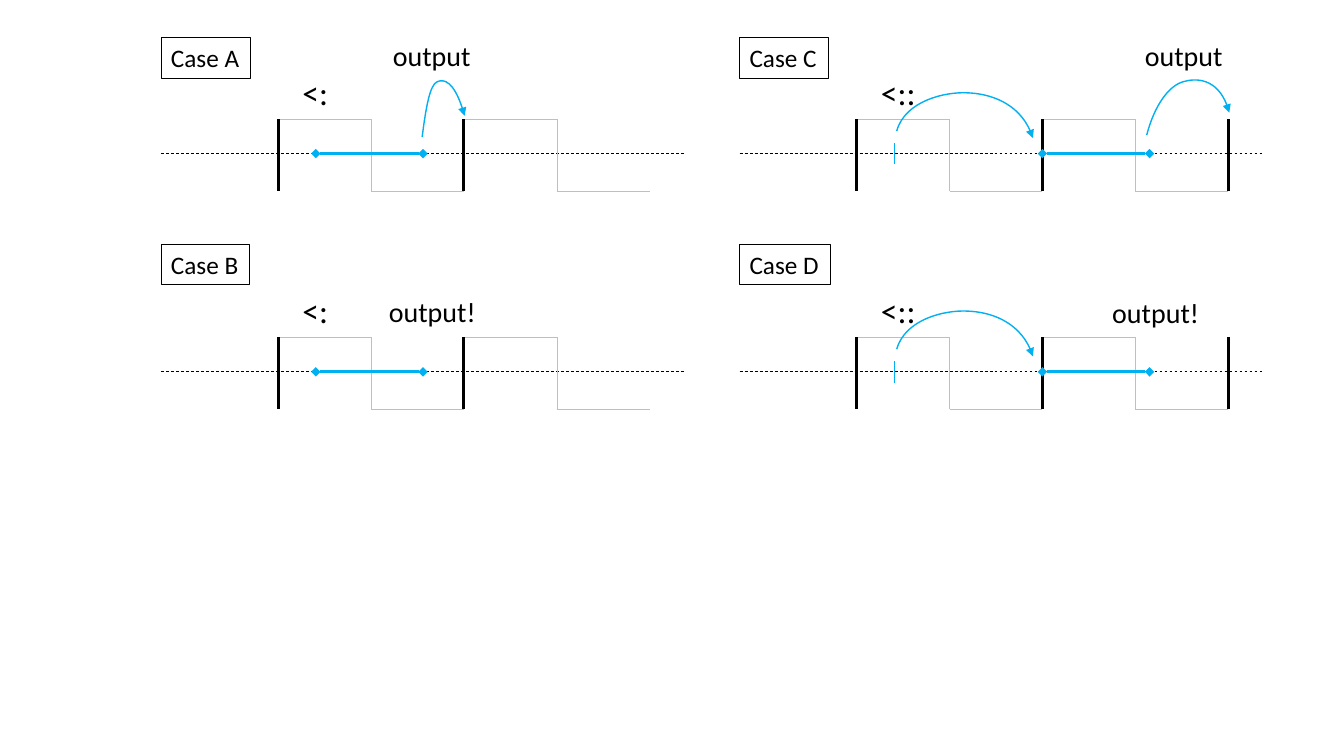
"""Draw four clock timing cases with their sampling windows and outputs."""
from lxml.etree import SubElement
from pptx import Presentation
from pptx.dml.color import RGBColor
from pptx.enum.dml import MSO_LINE
from pptx.enum.shapes import MSO_CONNECTOR
from pptx.enum.text import MSO_AUTO_SIZE
from pptx.oxml.ns import qn
from pptx.util import Cm, Pt

BLACK, GREY, BLUE = "000000", "BFBFBF", "00B0F0"

SHORT_ARC = [(6.58, 3.45), (6.68, 2.67), (6.78, 2.13), (6.96, 2.06),
             (7.14, 1.98), (7.42, 2.08), (7.65, 2.92)]
LATE_ARC = [(10.26, 3.4), (10.46, 2.64), (10.82, 2.16), (11.18, 2.06),
            (11.51, 1.96), (12.12, 1.98), (12.34, 2.84)]
DELAY_ARC = [(3.96, 3.3), (4.17, 2.54), (5.18, 2.31), (5.74, 2.34),
             (6.32, 2.36), (7.14, 2.64), (7.39, 3.48)]

CASES = [
    {"label": "Case A", "label_width": 2.26, "column": 0, "row": 0, "delayed": False,
     "output": ("output", 5.59, 0.84, 2.49), "arcs": [SHORT_ARC]},
    {"label": "Case B", "label_width": 2.24, "column": 0, "row": 1, "delayed": False,
     "output": ("output!", 5.49, 1.79, 2.72), "arcs": []},
    {"label": "Case C", "label_width": 2.24, "column": 1, "row": 0, "delayed": True,
     "output": ("output", 9.96, 0.84, 2.49), "arcs": [DELAY_ARC, LATE_ARC]},
    {"label": "Case D", "label_width": 2.29, "column": 1, "row": 1, "delayed": True,
     "output": ("output!", 9.14, 1.81, 2.72), "arcs": [DELAY_ARC]},
]

LEFT, COLUMN_STEP = 4.06, 14.58
ROW_STEP, LABEL_TOP, LABEL_STEP = 5.5, 0.94, 5.21
CLOCK_LEFT, HALF_PERIOD = 2.95, 2.34
CLOCK_TOP, AXIS, CLOCK_BOTTOM = 3.0, 3.87, 4.81
AXIS_LENGTH = 13.18
SAMPLE, WINDOW_LENGTH, TICK = 3.9, 2.7, 0.27

EDGE = {"color": BLACK, "width": 2.25}
WAVE = {"color": GREY, "width": 0.25}
DASHED = {"color": BLACK, "width": 0.5, "dash": MSO_LINE.DASH}
WINDOW = {"color": BLUE, "width": 2.25, "head": "diamond", "tail": "diamond"}
MARK = {"color": BLUE, "width": 0.5}
ARROW = {"color": BLUE, "width": 1, "tail": "triangle"}
FRAME = {"color": BLACK, "width": 0.75}


def rgb(value):
    return RGBColor.from_string(value)


def style_line(shape, style):
    shape.line.color.rgb = rgb(style["color"])
    formats = {"width": Pt(style["width"]), "dash_style": style.get("dash")}
    for name, value in formats.items():
        setattr(shape.line, name, value)
    outline = shape._element.spPr.find(qn("a:ln"))
    for end in ("head", "tail"):
        if end in style:
            SubElement(outline, qn(f"a:{end}End"), type=style[end])


def add_line(slide, start, end, style):
    connector = slide.shapes.add_connector(
        MSO_CONNECTOR.STRAIGHT, *(Cm(value) for value in (*start, *end)))
    style_line(connector, style)
    SubElement(connector._element.spPr, qn("a:effectLst"))


def add_arc(slide, points):
    points = [(Cm(x), Cm(y)) for x, y in points]
    knots = points[::3]
    builder = slide.shapes.build_freeform(*knots[0])
    builder.add_line_segments(knots[1:], close=False)
    shape = builder.convert_to_shape()
    shape.fill.background()
    shape.shadow.inherit = False
    style_line(shape, ARROW)
    left, top = (min(values) for values in zip(*knots))
    outline = shape._element.spPr.find(".//" + qn("a:path"))
    for segment in outline.findall(qn("a:lnTo")):
        outline.remove(segment)
    for index in range(1, len(points), 3):
        curve = SubElement(outline, qn("a:cubicBezTo"))
        for x, y in points[index:index + 3]:
            SubElement(curve, qn("a:pt"), x=str(x - left), y=str(y - top))


def add_text(slide, text, box, size):
    shape = slide.shapes.add_textbox(*(Cm(value) for value in box))
    frame = shape.text_frame
    frame.text = text
    for name, value in {"word_wrap": False, "auto_size": MSO_AUTO_SIZE.SHAPE_TO_FIT_TEXT}.items():
        setattr(frame, name, value)
    font = frame.paragraphs[0].runs[0].font
    for name, value in {"name": "Calibri", "size": Pt(size)}.items():
        setattr(font, name, value)
    font.color.rgb = rgb(BLACK)
    return shape


def add_clock(slide, left, down, edges):
    top, bottom = down + CLOCK_TOP, down + CLOCK_BOTTOM
    x = [left + CLOCK_LEFT + step * HALF_PERIOD for step in range(5)]
    for rise in (0, 2):
        add_line(slide, (x[rise], top), (x[rise + 1], top), WAVE)
        add_line(slide, (x[rise + 1], top), (x[rise + 1], bottom), WAVE)
        add_line(slide, (x[rise + 1], bottom), (x[rise + 2], bottom), WAVE)
    for edge in range(edges):
        add_line(slide, (x[2 * edge], top), (x[2 * edge], bottom), EDGE)


def add_case(slide, case):
    left = LEFT + case["column"] * COLUMN_STEP
    down = case["row"] * ROW_STEP
    axis = down + AXIS
    delayed = case["delayed"]
    add_line(slide, (left, axis), (left + AXIS_LENGTH, axis), DASHED)
    add_clock(slide, left, down, 3 if delayed else 2)
    start = left + (CLOCK_LEFT + 2 * HALF_PERIOD if delayed else SAMPLE)
    add_line(slide, (start, axis), (start + WINDOW_LENGTH, axis), WINDOW)
    if delayed:
        sample = left + SAMPLE
        add_line(slide, (sample, axis - TICK), (sample, axis + TICK), MARK)
    for arc in case["arcs"]:
        add_arc(slide, [(left + x, down + y) for x, y in arc])
    operator, width = ("<::", 1.4) if delayed else ("<:", 1.17)
    add_text(slide, operator, (left + 3.31, down + 1.68, width, 1.27), 24)
    text, x, y, width = case["output"]
    add_text(slide, text, (left + x, down + y, width, 1.11), 20)
    label_top = LABEL_TOP + case["row"] * LABEL_STEP
    label = add_text(slide, case["label"], (left, label_top, case["label_width"], 1.03), 18)
    style_line(label, FRAME)


def main():
    presentation = Presentation()
    presentation.slide_width, presentation.slide_height = Cm(33.87), Cm(19.05)
    slide = presentation.slides.add_slide(presentation.slide_layouts[6])
    for case in CASES:
        add_case(slide, case)
    presentation.save("out.pptx")


if __name__ == "__main__":
    main()
